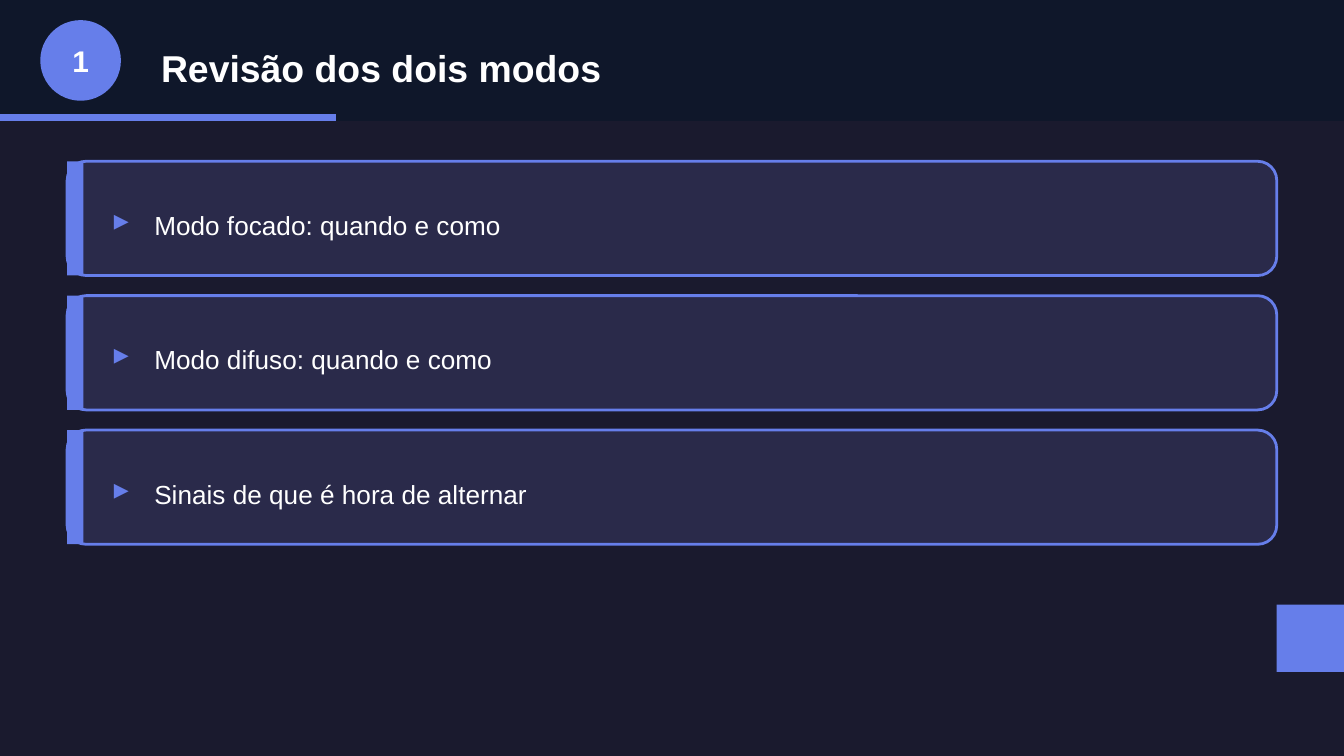
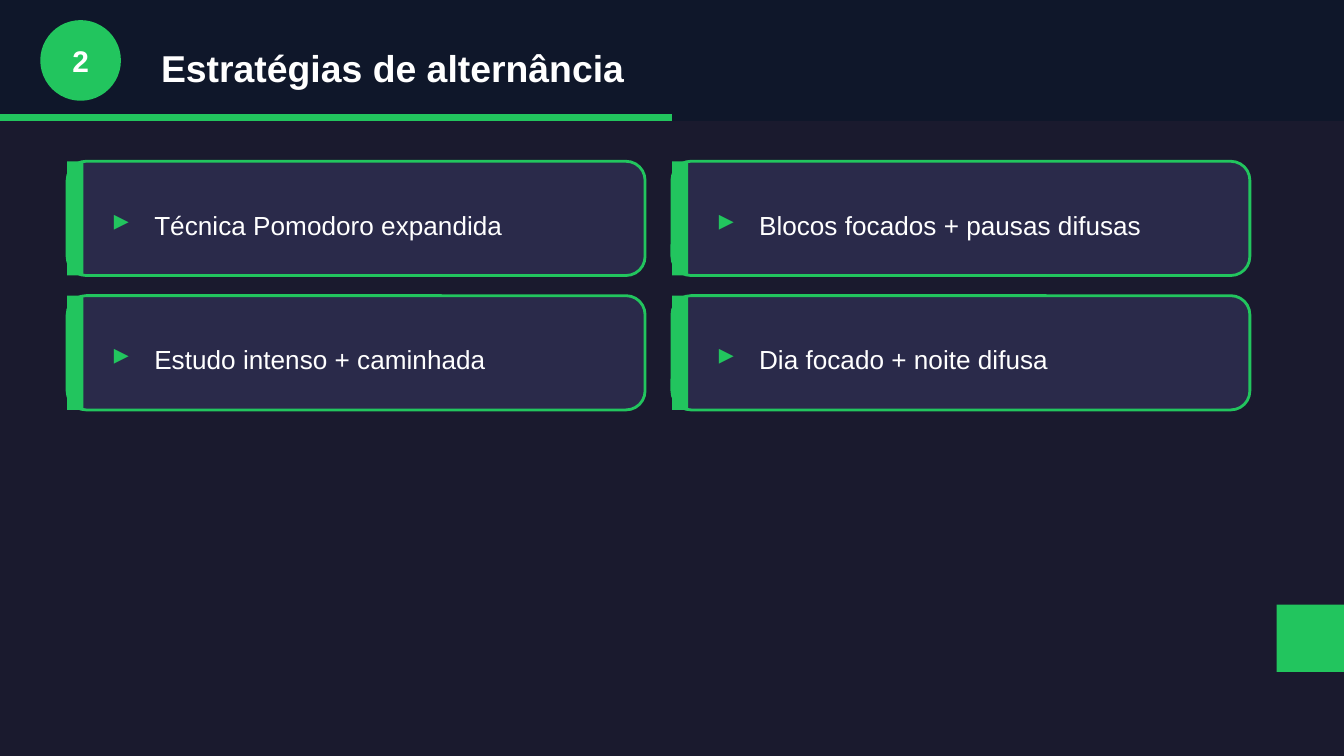
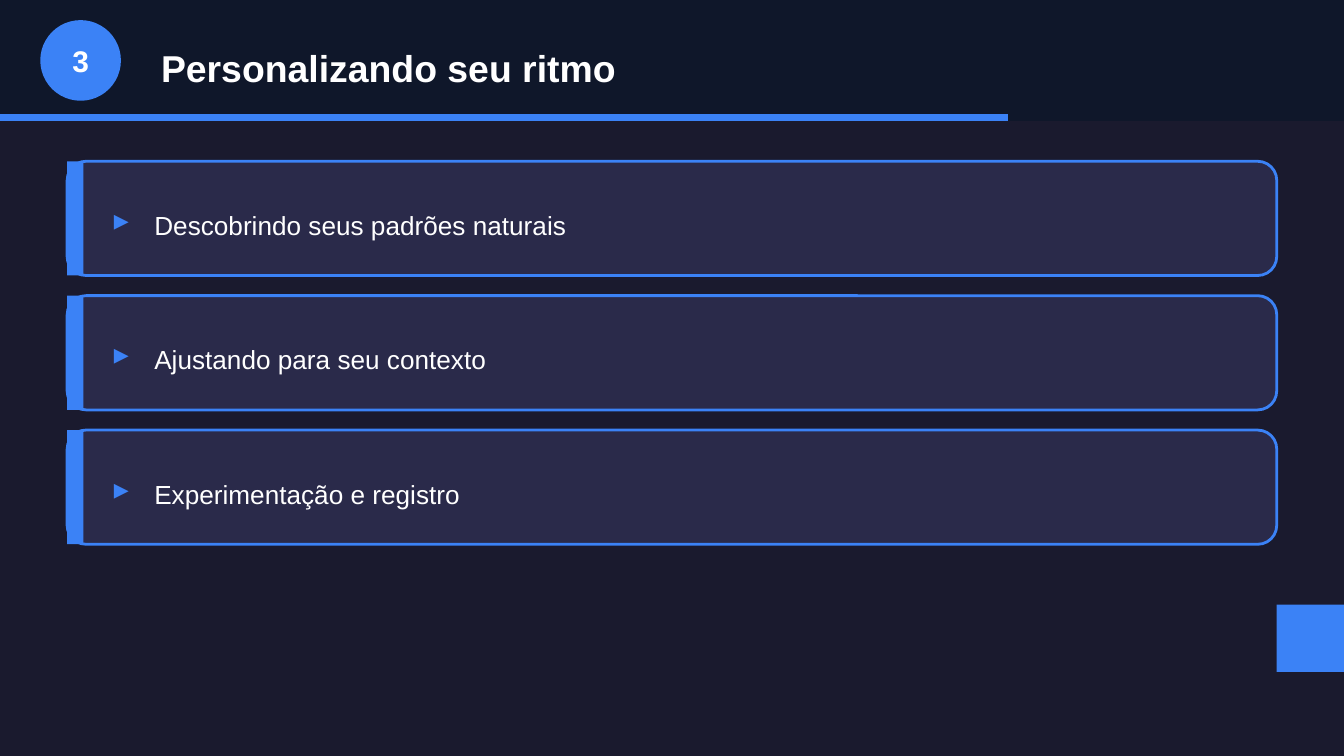
import pptx
import pptx.dml.color
import pptx.enum.shapes
import pptx.enum.text
import pptx.util

Pt = pptx.util.Pt
SHAPES = pptx.enum.shapes.MSO_SHAPE
ALIGN = pptx.enum.text.PP_ALIGN

# Content
SECTIONS = [
    {"title": "Revisão dos dois modos", "accent": "indigo", "columns": 1,
     "topics": ["Modo focado: quando e como",
                "Modo difuso: quando e como",
                "Sinais de que é hora de alternar"]},
    {"title": "Estratégias de alternância", "accent": "green", "columns": 2,
     "topics": ["Técnica Pomodoro expandida",
                "Blocos focados + pausas difusas",
                "Estudo intenso + caminhada",
                "Dia focado + noite difusa"]},
    {"title": "Personalizando seu ritmo", "accent": "blue", "columns": 1,
     "topics": ["Descobrindo seus padrões naturais",
                "Ajustando para seu contexto",
                "Experimentação e registro"]},
]
MARKER = "▸"

# Shared look
COLORS = {
    "background": "1A1A2E", "header": "0F172A", "card": "2A2A4A",
    "text": "FFFFFF", "indigo": "667EEA", "green": "22C55E", "blue": "3B82F6",
}
FONTS = {
    "number": {"size": Pt(16), "bold": True},
    "title": {"size": Pt(20), "bold": True},
    "marker": {"size": Pt(16), "bold": True},
    "topic": {"size": Pt(14), "bold": False},
}

# Layout in points
PAGE_W, PAGE_H = 720, 405
HEADER_H, PROGRESS_H = 64.8, 3.6
PROGRESS_STEP = PAGE_W / 4
GRID_X, GRID_Y, GRID_W = 36, 86.4, 648
CARD_H, ROW_PITCH, GUTTER = 61.2, 72, 14.4
STRIPE_W, CORNER = 8.64, 36


def rgb(color):
    return pptx.dml.color.RGBColor.from_string(COLORS[color])


def add_block(slide, kind, box, color, outline=None):
    block = slide.shapes.add_shape(kind, *map(Pt, box))
    block.shadow.inherit = False
    block.fill.solid()
    block.fill.fore_color.rgb = rgb(color)
    if outline:
        block.line.color.rgb = rgb(outline)
        block.line.width = Pt(1.5)
    else:
        block.line.fill.background()


def add_label(slide, words, box, style, color="text", align=ALIGN.LEFT):
    frame = slide.shapes.add_textbox(*map(Pt, box)).text_frame
    frame.word_wrap = True
    frame.vertical_anchor = pptx.enum.text.MSO_ANCHOR.MIDDLE
    paragraph = frame.paragraphs[0]
    paragraph.alignment = align
    run = paragraph.add_run()
    run.text = words
    for attribute, value in {"name": "Arial", **FONTS[style]}.items():
        setattr(run.font, attribute, value)
    run.font.color.rgb = rgb(color)


def add_header(slide, number, title, accent):
    add_block(slide, SHAPES.RECTANGLE, (0, 0, PAGE_W, HEADER_H), "header")
    add_block(slide, SHAPES.RECTANGLE,
              (0, HEADER_H - PROGRESS_H, PROGRESS_STEP * number, PROGRESS_H), accent)
    add_block(slide, SHAPES.OVAL, (21.6, 10.8, 43.2, 43.2), accent)
    add_label(slide, str(number), (21.6, 18, 43.2, 28.8), "number", align=ALIGN.CENTER)
    add_label(slide, title, (79.2, 18, 612, 36), "title")


def add_card(slide, topic, x, y, width, accent):
    add_block(slide, SHAPES.ROUNDED_RECTANGLE, (x, y, width, CARD_H), "card", accent)
    add_block(slide, SHAPES.RECTANGLE, (x, y, STRIPE_W, CARD_H), accent)
    add_label(slide, MARKER, (x + 18, y + 18, 21.6, 25.2), "marker", accent)
    add_label(slide, topic, (x + 39.6, y + 18, width - 57.6, 32.4), "topic")


def add_section(deck, number, section):
    slide = deck.slides.add_slide(deck.slide_layouts[6])
    slide.background.fill.solid()
    slide.background.fill.fore_color.rgb = rgb("background")
    accent, columns = section["accent"], section["columns"]
    add_header(slide, number, section["title"], accent)

    # Cards fill the grid row by row
    pitch = GRID_W / columns
    width = pitch - GUTTER if columns > 1 else pitch
    for index, topic in enumerate(section["topics"]):
        row, column = divmod(index, columns)
        add_card(slide, topic, GRID_X + column * pitch, GRID_Y + row * ROW_PITCH,
                 width, accent)

    # Corner square
    add_block(slide, SHAPES.RECTANGLE, (PAGE_W - CORNER, 324, CORNER, CORNER), accent)


def main():
    deck = pptx.Presentation()
    deck.slide_width, deck.slide_height = Pt(PAGE_W), Pt(PAGE_H)
    for number, section in enumerate(SECTIONS, 1):
        add_section(deck, number, section)
    deck.save("out.pptx")


if __name__ == "__main__":
    main()
